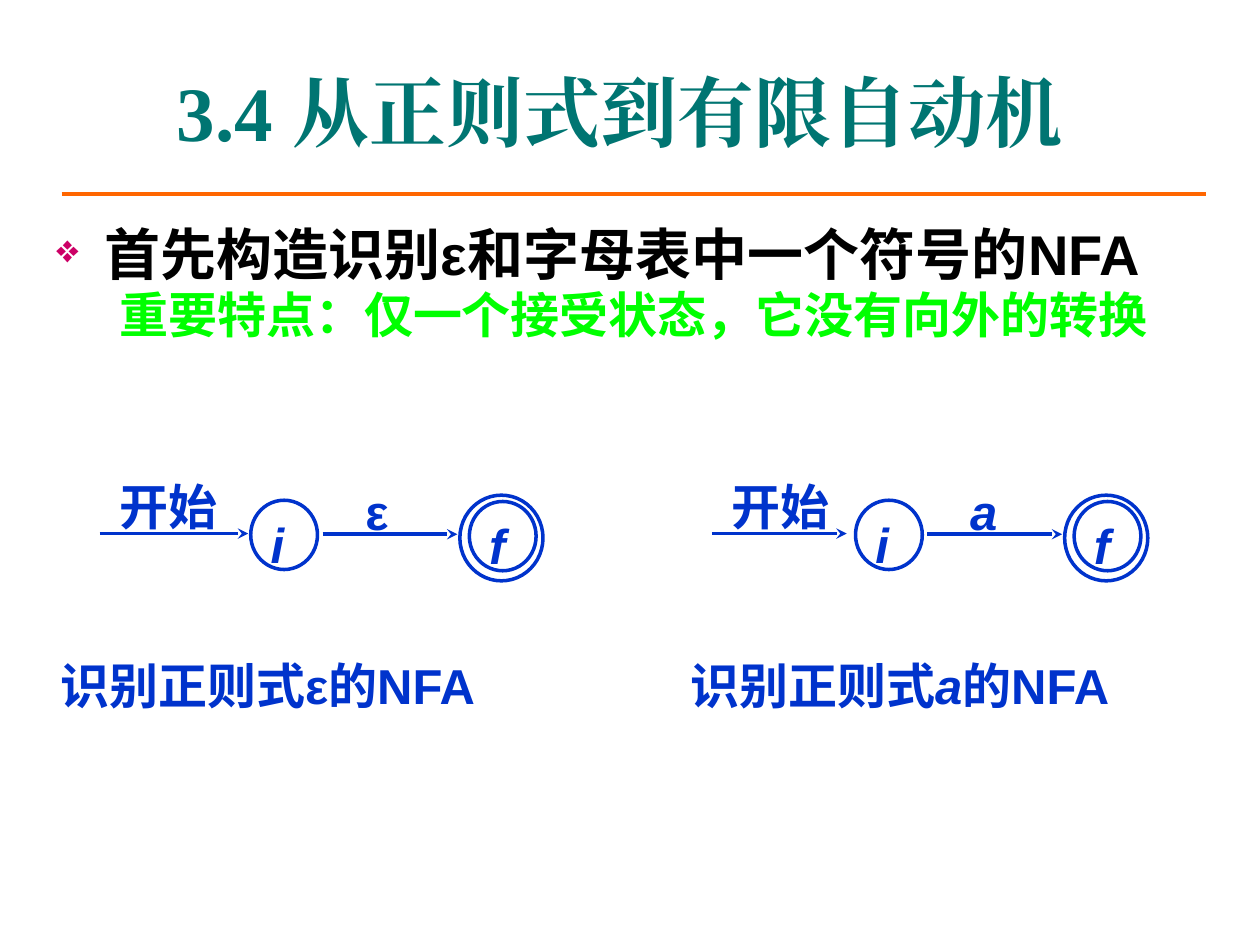
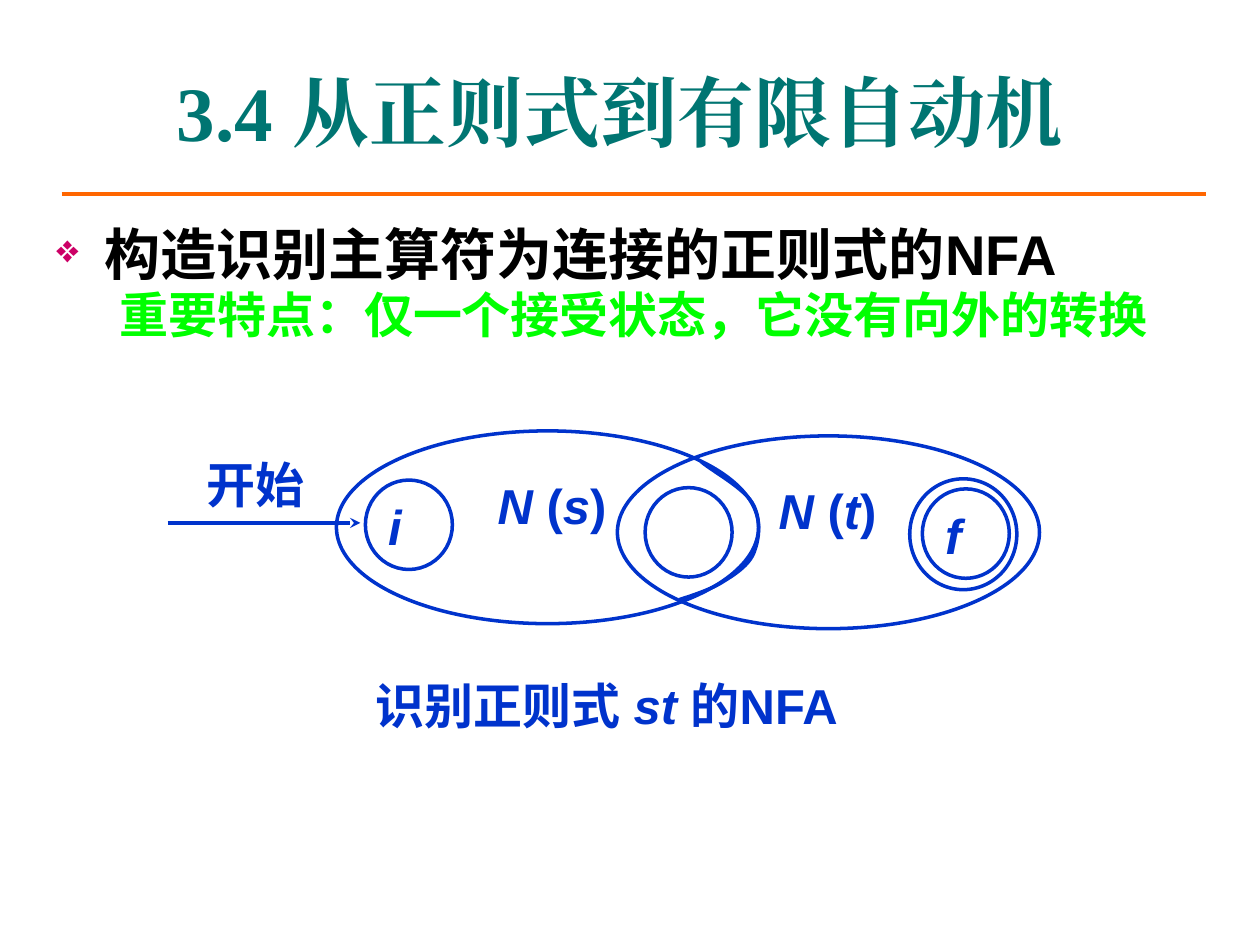
from lxml.etree import SubElement
from pptx import Presentation
from pptx.dml.color import RGBColor
from pptx.enum.lang import MSO_LANGUAGE_ID as Lang
from pptx.enum.shapes import MSO_CONNECTOR as Link, MSO_SHAPE as Preset
from pptx.enum.text import MSO_ANCHOR as Anchor, PP_ALIGN as Align
from pptx.oxml.ns import qn
from pptx.util import Inches, Pt

COLORS = {"title": "007572", "rule": "FF6600", "bullet": "CC0066",
          "topic": "000000", "feature": "00FF00", "diagram": "0033CC"}
COLUMNS, ROWS = 100, 75  # grid over a 10 x 7.5 inch slide
CJK, LATIN, SERIF = "Noto Sans CJK SC", "Arial", "Times New Roman"
ITALIC = {"italic": True}
SNUG = (0.06, 0.03, 0.06, 0.03)
ROOMY = (0.1, 0.05, 0.1, 0.05)
STATE_PAD = (0.08, 0.03, 0.02, 0.03)
SIDES = ("left", "top", "right", "bottom")
TITLE = "3.4 从正则式到有限自动机"
FEATURE = "重要特点：仅一个接受状态，它没有向外的转换"


def color(name):
    return RGBColor.from_string(COLORS[name])


def bezier(start, c1, c2, end, steps=12):
    """Points along a cubic curve, without its start."""
    for step in range(1, steps + 1):
        t = step / steps
        u = 1 - t
        yield tuple(u**3 * a + 3 * u * u * t * b + 3 * u * t * t * c + t**3 * d
                    for a, b, c, d in zip(start, c1, c2, end))


class Deck:
    def __init__(self):
        self.prs = Presentation()
        self.prs.slide_width, self.prs.slide_height = Inches(10), Inches(7.5)
        self.slide = None

    def x(self, columns):
        return round(self.prs.slide_width * columns / COLUMNS)

    def y(self, rows):
        return round(self.prs.slide_height * rows / ROWS)

    def box(self, left, top, width, height):
        return self.x(left), self.y(top), self.x(width), self.y(height)

    def add_slide(self, topic):
        self.slide = self.prs.slides.add_slide(self.prs.slide_layouts[6])
        self.line(4.9, 95.7, 15.4, hue="rule", weight=2.25, arrow=False)
        self.body(topic)
        heading = self.text((6.7, 2.5, 85, 12.5), [(TITLE, {"name": SERIF})],
                            pad=ROOMY, align=Align.CENTER, size=44, hue="title")
        heading.text_frame.vertical_anchor = Anchor.MIDDLE

    def add_runs(self, paragraph, runs, size=28, hue="diagram"):
        for words, changes in runs:
            run = paragraph.add_run()
            run.text = words
            style = {"name": LATIN, "size": Pt(size), "bold": True, "italic": False,
                     "language_id": Lang.SIMPLIFIED_CHINESE, **changes}
            for key, value in style.items():
                setattr(run.font, key, value)
            run.font.color.rgb = color(hue)
            east_asian = SubElement(run.font._element, qn("a:ea"))
            east_asian.set("typeface", style["name"])

    def set_frame(self, frame, pad):
        frame.word_wrap = True
        frame.vertical_anchor = Anchor.TOP
        for side, inches in zip(SIDES, pad):
            setattr(frame, "margin_" + side, Inches(inches))

    def text(self, place, runs, pad=SNUG, align=Align.LEFT, **style):
        label = self.slide.shapes.add_textbox(*self.box(*place))
        self.set_frame(label.text_frame, pad)
        paragraph = label.text_frame.paragraphs[0]
        paragraph.alignment = align
        self.add_runs(paragraph, runs, **style)
        return label

    def body(self, topic):
        lead = self.text((3.5, 17.5, 93.7, 53.1), topic, pad=ROOMY,
                         size=32, hue="topic")
        first = lead.text_frame.paragraphs[0]
        feature = lead.text_frame.add_paragraph()
        feature.level = 1
        self.add_runs(feature, [(FEATURE, {"name": CJK})], hue="feature")
        for paragraph, margin, indent in ((first, 0.38, -0.38), (feature, 0.81, -0.31)):
            paragraph.line_spacing = 0.9
            paragraph.space_before = Pt(2)
            props = paragraph._p.get_or_add_pPr()
            props.set("marL", str(Inches(margin)))
            props.set("indent", str(Inches(indent)))
        # Bullet of the topic only
        props = first._p.get_or_add_pPr()
        tint = SubElement(props, qn("a:buClr"))
        SubElement(tint, qn("a:srgbClr")).set("val", COLORS["bullet"])
        SubElement(props, qn("a:buSzPct")).set("val", "70000")
        SubElement(props, qn("a:buChar")).set("char", "❖")
        SubElement(feature._p.get_or_add_pPr(), qn("a:buNone"))

    def line(self, start, end, row, hue="diagram", weight=2, arrow=True):
        link = self.slide.shapes.add_connector(
            Link.STRAIGHT, self.x(start), self.y(row), self.x(end), self.y(row))
        link.line.color.rgb = color(hue)
        link.line.width = Pt(weight)
        if arrow:
            SubElement(link.line._get_or_add_ln(), qn("a:tailEnd")).set("type", "stealth")
        SubElement(link._element.spPr, qn("a:effectLst"))

    def outline(self, shape):
        shape.shadow.inherit = False
        shape.fill.background()
        shape.line.color.rgb = color("diagram")
        shape.line.width = Pt(2)

    def ellipse(self, place, name=None):
        oval = self.slide.shapes.add_shape(Preset.OVAL, *self.box(*place))
        self.outline(oval)
        if name:
            self.set_frame(oval.text_frame, STATE_PAD)
            paragraph = oval.text_frame.paragraphs[0]
            paragraph.alignment = Align.LEFT
            self.add_runs(paragraph, [(name, ITALIC)])

    def curve(self, start, *segments):
        points = [start]
        for segment in segments:
            points.extend(bezier(points[-1], *segment))
        points = [(self.x(col), self.y(row)) for col, row in points]
        builder = self.slide.shapes.build_freeform(*points[0])
        builder.add_line_segments(points[1:], close=False)
        self.outline(builder.convert_to_shape())

    def start_word(self, left, top):
        self.text((left, top, 11, 5.4), [("开始", {})], align=Align.JUSTIFY)

    def symbol_nfa(self, initial, start, symbol, caption_at, caption):
        """Two states joined by one symbol; initial is the left of state i."""
        start_from, start_to = start
        self.line(start_from, start_to, 42.35)
        self.start_word(start_from + 1, 37.5)
        self.ellipse((initial, 39.7, 5.3, 5.5), "i")
        self.line(initial + 5.7, initial + 16.4, 42.4)
        self.text((initial + 8.5, 37.9, 4.3, 4.4), [symbol], align=Align.JUSTIFY)
        self.ellipse((initial + 16.6, 39.3, 6.6, 6.8))
        self.ellipse((initial + 17.35, 39.8, 5.3, 5.5), "f")
        self.text((caption_at, 51.7, 39.6, 4.6), caption)

    def sub_nfa(self, left, top, operand):
        """Large ellipse that stands for the NFA of one operand."""
        self.ellipse((left, top, 33.5, 15.3))
        self.text((left + 11.9, top + 3.25, 11.6, 8.5),
                  [("N ", ITALIC), ("(", {}), (operand, ITALIC), (")", {})],
                  pad=(0.09, 0.03, 0.1, 0.05), align=Align.JUSTIFY)


def main():
    deck = Deck()

    # NFAs for the empty word and for one symbol
    deck.add_slide([("首先构造识别", {"name": CJK}), ("ε", {}),
                    ("和字母表中一个符号的", {"name": CJK}), ("NFA", {})])
    deck.symbol_nfa(19.9, (7.9, 19.7), ("ε", {}), 4.2, [("识别正则式ε的NFA", {})])
    deck.symbol_nfa(67.9, (56.5, 67.2), ("a", ITALIC), 54.2,
                    [("识别正则式", {}), ("a", ITALIC), ("的NFA", {})])

    # NFA for a concatenation
    deck.add_slide([("构造识别主算符为连接的正则式的", {"name": CJK}), ("NFA", {})])
    deck.text((29.2, 53.3, 51.2, 6),
              [("识别正则式 ", {}), ("st ", ITALIC), ("的NFA", {})])
    deck.sub_nfa(26.7, 34.2, "s")
    deck.sub_nfa(49, 34.6, "t")
    deck.ellipse((72.2, 38, 8.5, 8.8))
    for left, top, name in ((29, 38.1, "i"), (51.2, 38.7, None), (73.2, 38.8, "f")):
        deck.ellipse((left, top, 6.9, 7.1), name)
    deck.start_word(15.8, 35.8)
    deck.line(13.3, 28.6, 41.5)
    # Emphasised edge of the overlap
    deck.curve((55.6, 36.6),
               ((56.2, 37.2), (59, 38.7), (59.7, 39.9)),
               ((60.4, 41.1), (60.3, 42.6), (59.9, 43.7)),
               ((59.6, 44.7), (58.5, 45.5), (57.5, 46.1)),
               ((56.5, 46.8), (54.5, 47.4), (53.9, 47.6)))

    deck.prs.save("out.pptx")


if __name__ == "__main__":
    main()
